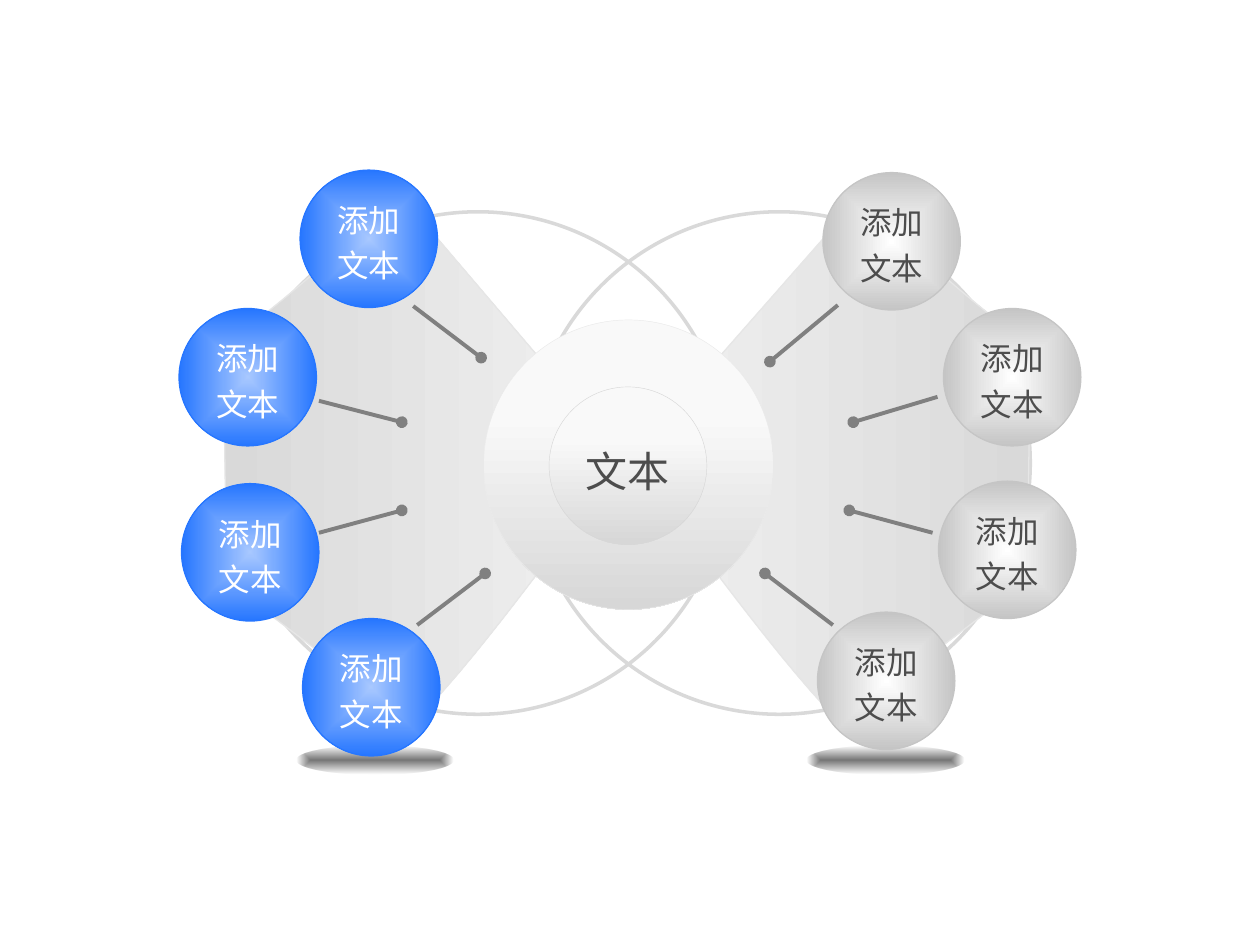
from lxml import etree
from pptx import Presentation
from pptx.dml.color import RGBColor
from pptx.enum.shapes import MSO_CONNECTOR, MSO_SHAPE
from pptx.enum.text import MSO_ANCHOR, PP_ALIGN
from pptx.oxml.ns import qn
from pptx.util import Cm, Pt

OVAL = MSO_SHAPE.OVAL
STRAIGHT = MSO_CONNECTOR.STRAIGHT
MIDDLE = MSO_ANCHOR.MIDDLE
CENTER = PP_ALIGN.CENTER

COLORS = {
    "black": "000000",
    "white": "FFFFFF",
    "text": "4D4D4D",
    "spoke": "808080",
    "ring": "D9D9D9",
    "fan_dark": "D9D9D9",
    "fan_light": "F2F2F2",
    "fan_edge": "E6E6E6",
    "hub_light": "F9F9F9",
    "hub_dark": "D7D7D7",
    "hub_edge": "EAEAEA",
    "blue_light": "A8C8FF",
    "blue": "2676FF",
    "grey": "C5C5C5",
}

BALL_SIZE = 2.77
BALL_TEXT = "添加文本"
GREY_BALLS = [(19.02, 6.22), (16.59, 3.48), (18.92, 9.7), (16.48, 12.34)]
BLUE_BALLS = [(6.1, 12.47), (3.66, 9.75), (3.61, 6.22), (6.05, 3.43)]

SPOKES = [
    (8.41, 12.6, 9.78, 11.56),
    (6.43, 10.74, 8.1, 10.29),
    (6.43, 8.08, 8.1, 8.51),
    (8.33, 6.17, 9.7, 7.21),
    (16.89, 6.15, 15.52, 7.29),
    (18.9, 8, 17.2, 8.51),
    (18.8, 10.74, 17.12, 10.29),
    (16.79, 12.6, 15.42, 11.56),
]

LEFT_FAN = {
    "rim": [(4.5, 6.96), (6.22, 5.74), (7.59, 4.32), (8.08, 3.94)],
    "side": [(12.65, 9.3), (11.66, 10.31), (9.96, 12.93), (8.33, 14.58)],
    "corner": (4.57, 11.73),
    "stops": ("fan_dark", "fan_light"),
}
RIGHT_FAN = {
    "rim": [(20.78, 6.96), (19.05, 5.74), (17.81, 4.39), (17.3, 4.01)],
    "side": [(12.65, 9.3), (13.61, 10.31), (15.34, 12.93), (16.94, 14.58)],
    "corner": (20.7, 11.73),
    "stops": ("fan_light", "fan_dark"),
}


def rgb(name):
    return RGBColor.from_string(COLORS[name])


def fill_gradient(shape, stops, positions=(0, 1), angle=0):
    shape.fill.gradient()
    shape.fill.gradient_angle = angle
    for stop, name, position in zip(shape.fill.gradient_stops, stops, positions):
        stop.color.rgb = rgb(name)
        stop.position = position


def make_radial(shape, opacities=()):
    gradient = shape._element.spPr.find(qn("a:gradFill"))
    direction = gradient.find(qn("a:lin"))
    path = etree.Element(qn("a:path"), path="shape")
    sides = {side: "50000" for side in "ltrb"}
    etree.SubElement(path, qn("a:fillToRect"), sides)
    gradient.replace(direction, path)
    for color, opacity in zip(gradient.iter(qn("a:srgbClr")), opacities):
        etree.SubElement(color, qn("a:alpha"), val=str(opacity * 1000))


def set_line(shape, color, width):
    shape.line.color.rgb = rgb(color)
    shape.line.width = Pt(width)


def add_circle(slide, left, top, width, height=None):
    shape = slide.shapes.add_shape(
        OVAL, Cm(left), Cm(top), Cm(width), Cm(height or width))
    shape.shadow.inherit = False
    return shape


def add_text(shape, text, color, size, font, wrap):
    frame = shape.text_frame
    frame.word_wrap = wrap
    frame.vertical_anchor = MIDDLE
    paragraph = frame.paragraphs[0]
    paragraph.text = text
    paragraph.alignment = CENTER
    paragraph.line_spacing = 1.2
    formats = {"name": font, "size": Pt(size)}
    for key, value in formats.items():
        setattr(paragraph.font, key, value)
    paragraph.font.color.rgb = rgb(color)


def add_shadow(slide, left):
    shape = add_circle(slide, left, 15.04, 3.18, 0.58)
    fill_gradient(shape, ("black", "black"), (0, 0.97))
    make_radial(shape, (54, 0))
    shape.line.fill.background()


def add_ring(slide, left):
    shape = add_circle(slide, left, 4.27, 10.13)
    shape.fill.background()
    set_line(shape, "ring", 2)


def curve_points(controls, steps=16):
    weights = (1, 3, 3, 1)
    points = []
    for step in range(steps + 1):
        t = step / steps
        factors = [w * t**i * (1 - t)**(3 - i) for i, w in enumerate(weights)]
        points.append(tuple(
            sum(f * point[axis] for f, point in zip(factors, controls))
            for axis in (0, 1)))
    return points


def add_fan(slide, fan):
    outline = curve_points(fan["rim"]) + curve_points(fan["side"]) + [fan["corner"]]
    points = [(Cm(x), Cm(y)) for x, y in outline]
    builder = slide.shapes.build_freeform(*points[0])
    builder.add_line_segments(points[1:], close=True)
    shape = builder.convert_to_shape()
    shape.shadow.inherit = False
    fill_gradient(shape, fan["stops"])
    set_line(shape, "fan_edge", 0.75)


def add_ball(slide, left, top, inner, outer, text_color):
    shape = add_circle(slide, left, top, BALL_SIZE)
    fill_gradient(shape, (inner, outer))
    make_radial(shape)
    set_line(shape, outer, 0.75)
    add_text(shape, BALL_TEXT, text_color, 18, "Arial", True)


def add_spoke(slide, ends):
    connector = slide.shapes.add_connector(STRAIGHT, *(Cm(value) for value in ends))
    set_line(connector, "spoke", 2.25)
    etree.SubElement(connector.line._get_or_add_ln(), qn("a:tailEnd"), type="oval")
    etree.SubElement(connector._element.spPr, qn("a:effectLst"))


def add_hub(slide, left, top, size, edge):
    shape = add_circle(slide, left, top, size)
    fill_gradient(shape, ("hub_light", "hub_dark"), (0.33, 1), 270)
    set_line(shape, edge, 0.25)
    return shape


def main():
    presentation = Presentation()
    presentation.slide_width = Cm(25.4)
    presentation.slide_height = Cm(19.05)
    slide = presentation.slides.add_slide(presentation.slide_layouts[6])

    for left in (16.26, 5.97):
        add_shadow(slide, left)
    for left in (4.57, 10.64):
        add_ring(slide, left)
    for fan in (LEFT_FAN, RIGHT_FAN):
        add_fan(slide, fan)
    for left, top in GREY_BALLS:
        add_ball(slide, left, top, "white", "grey", "text")
    for left, top in BLUE_BALLS:
        add_ball(slide, left, top, "blue_light", "blue", "white")
    for ends in SPOKES:
        add_spoke(slide, ends)
    add_hub(slide, 9.75, 6.45, 5.84, "hub_edge")
    center = add_hub(slide, 11.07, 7.8, 3.18, "hub_dark")
    add_text(center, "文本", "text", 24, "Roboto Condensed", False)

    presentation.save("out.pptx")


if __name__ == "__main__":
    main()
